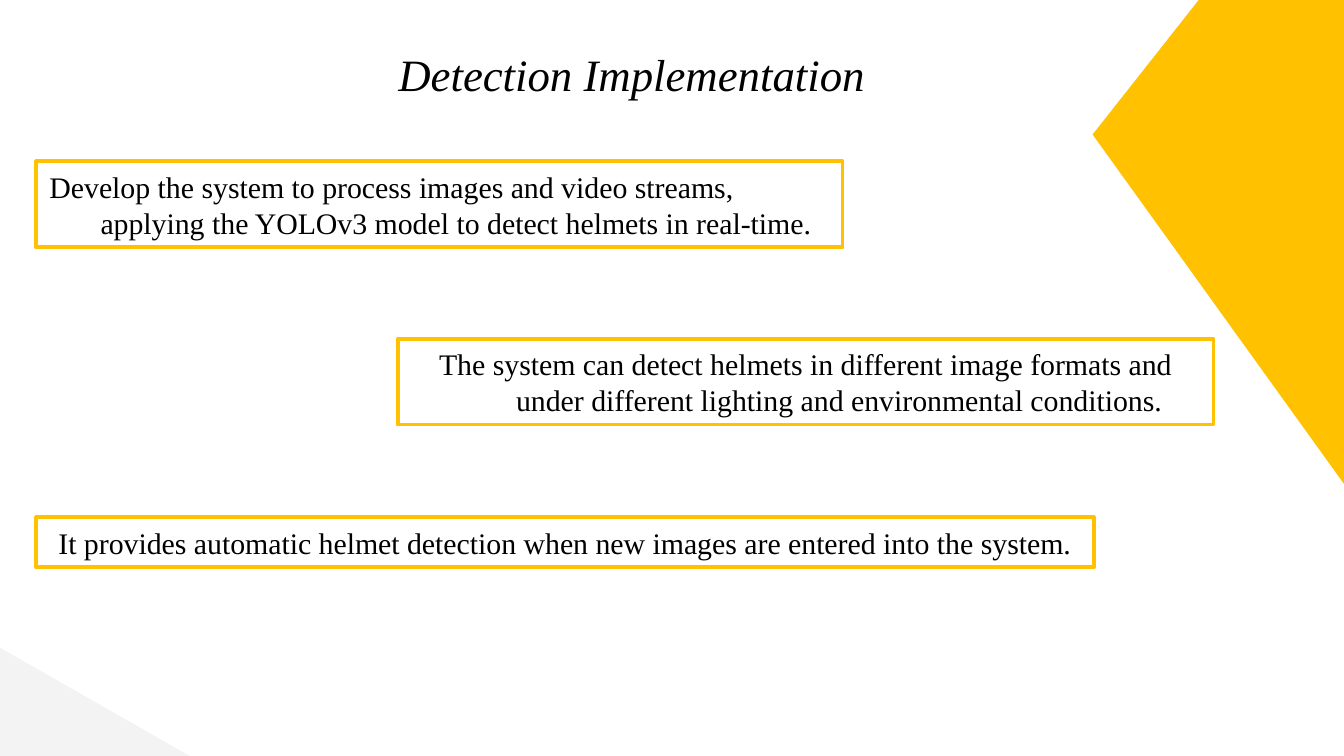
"""Build the "Detection Implementation" slide."""
from pptx import Presentation
from pptx.dml.color import RGBColor
from pptx.enum.shapes import MSO_SHAPE
from pptx.enum.text import MSO_ANCHOR, MSO_AUTO_SIZE, PP_ALIGN
from pptx.util import Inches, Pt

COLORS = {"yellow": "FFC100", "gray": "F3F3F3", "white": "FFFFFF", "black": "000000"}


def write(holder, text, size=16, italic=False, align=PP_ALIGN.CENTER,
          fit=MSO_AUTO_SIZE.SHAPE_TO_FIT_TEXT, hanging=0):
    frame = holder.text_frame
    frame.word_wrap = True
    frame.auto_size = fit
    frame.vertical_anchor = MSO_ANCHOR.MIDDLE
    frame.text = text
    paragraph = frame.paragraphs[0]
    paragraph.alignment = align
    properties = paragraph._p.get_or_add_pPr()
    properties.set("marL", str(Inches(hanging)))
    properties.set("indent", str(-Inches(hanging)))
    font = paragraph.runs[0].font
    font.name = "Times New Roman"
    font.size = Pt(size)
    font.italic = italic
    font.color.rgb = RGBColor.from_string(COLORS["black"])


def add_filled(kind, left, top, width, height, color):
    shape = slide.shapes.add_shape(
        kind, Inches(left), Inches(top), Inches(width), Inches(height))
    shape.shadow.inherit = False
    shape.fill.solid()
    shape.fill.fore_color.rgb = RGBColor.from_string(COLORS[color])
    shape.line.fill.background()
    return shape


deck = Presentation()
deck.slide_width = Inches(10)
deck.slide_height = Inches(10) * 9 // 16
slide = deck.slides.add_slide(deck.slide_layouts[5])

add_filled(MSO_SHAPE.RIGHT_TRIANGLE, 0, 4.82, 1.42, 0.81, "gray")
corner = add_filled(MSO_SHAPE.ISOSCELES_TRIANGLE, 6.58, 0.18, 4.97, 1.87, "yellow")
corner.adjustments[0] = 0.523
corner.rotation = 270

title = slide.shapes.title
title.left, title.top = Inches(0.27), Inches(0.23)
title.width, title.height = Inches(8.86), Inches(0.63)
frame = title.text_frame
frame.margin_left = frame.margin_right = Inches(0.1)
frame.margin_top = frame.margin_bottom = Inches(0.1)
write(title, "Detection Implementation", size=24, italic=True, fit=MSO_AUTO_SIZE.NONE)

statements = [
    (0.27, 1.2, 6, 0.64, 0.38, PP_ALIGN.LEFT,
     "Develop the system to process images and video streams, "
     "applying the YOLOv3 model to detect helmets in real-time."),
    (2.96, 2.52, 6.07, 0.64, 0.5, PP_ALIGN.CENTER,
     "The system can detect helmets in different image formats and "
     "under different lighting and environmental conditions."),
    (0.27, 3.85, 7.87, 0.37, 0.31, PP_ALIGN.CENTER,
     "It provides automatic helmet detection when new images are entered into the system."),
]
for left, top, width, height, hanging, align, text in statements:
    statement = add_filled(MSO_SHAPE.RECTANGLE, left, top, width, height, "white")
    statement.line.color.rgb = RGBColor.from_string(COLORS["yellow"])
    statement.line.width = Pt(2)
    write(statement, text, align=align, hanging=hanging)

deck.save("out.pptx")
